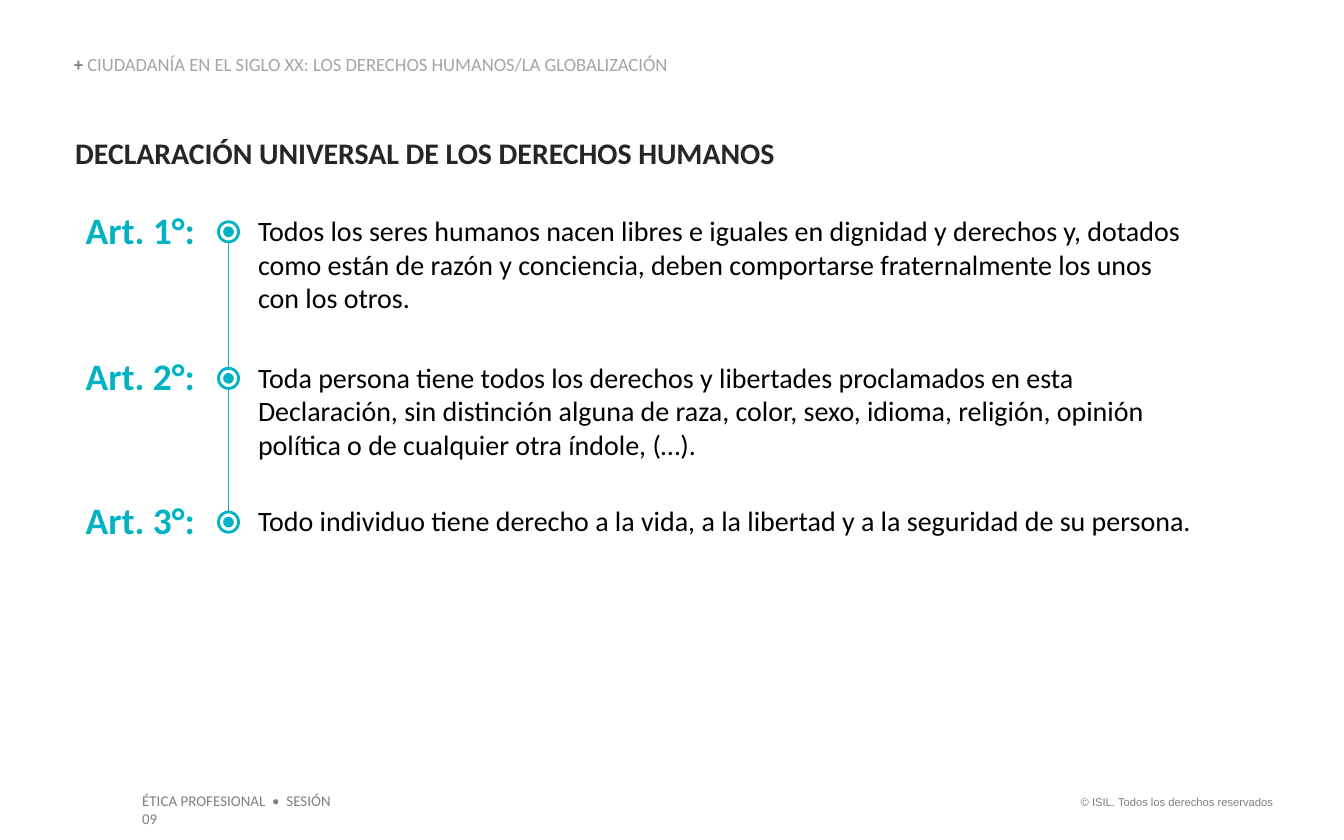
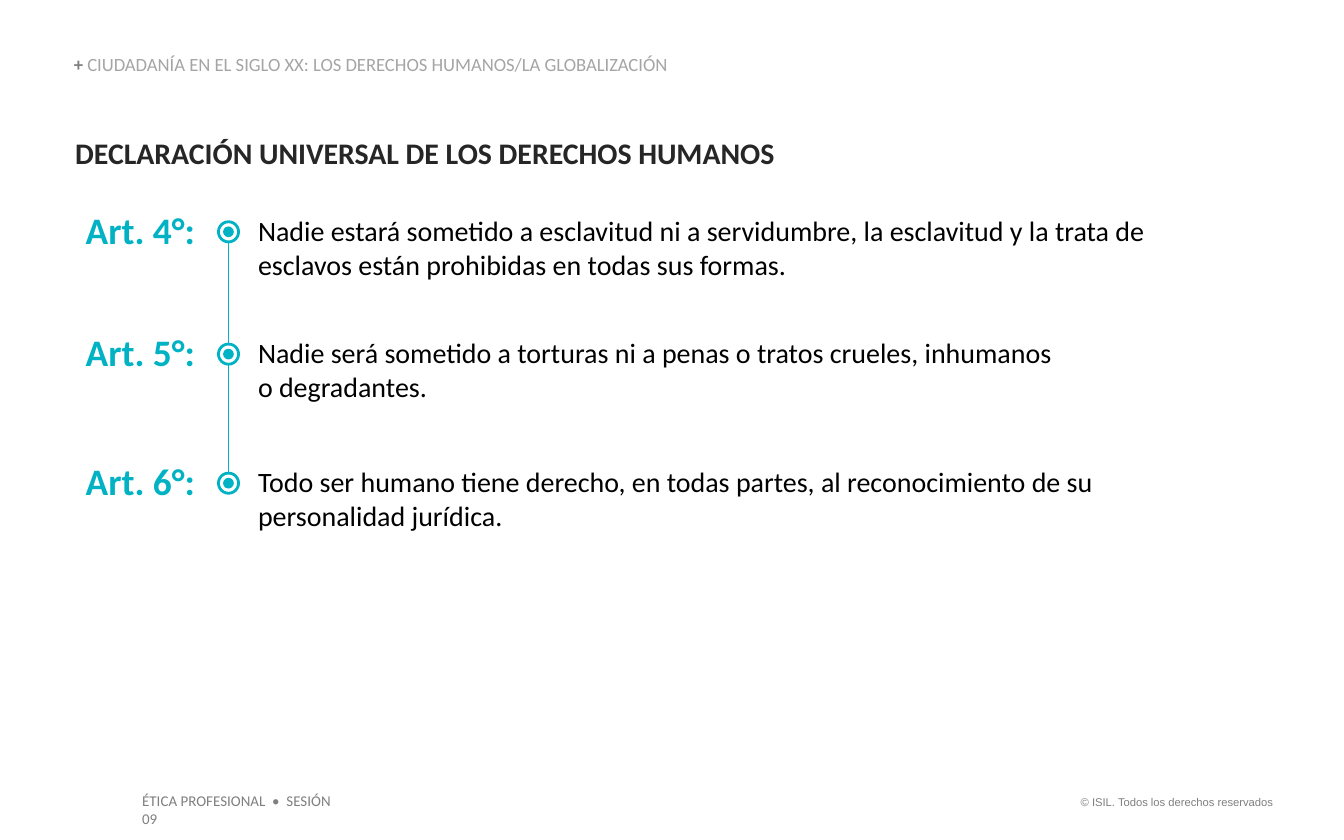
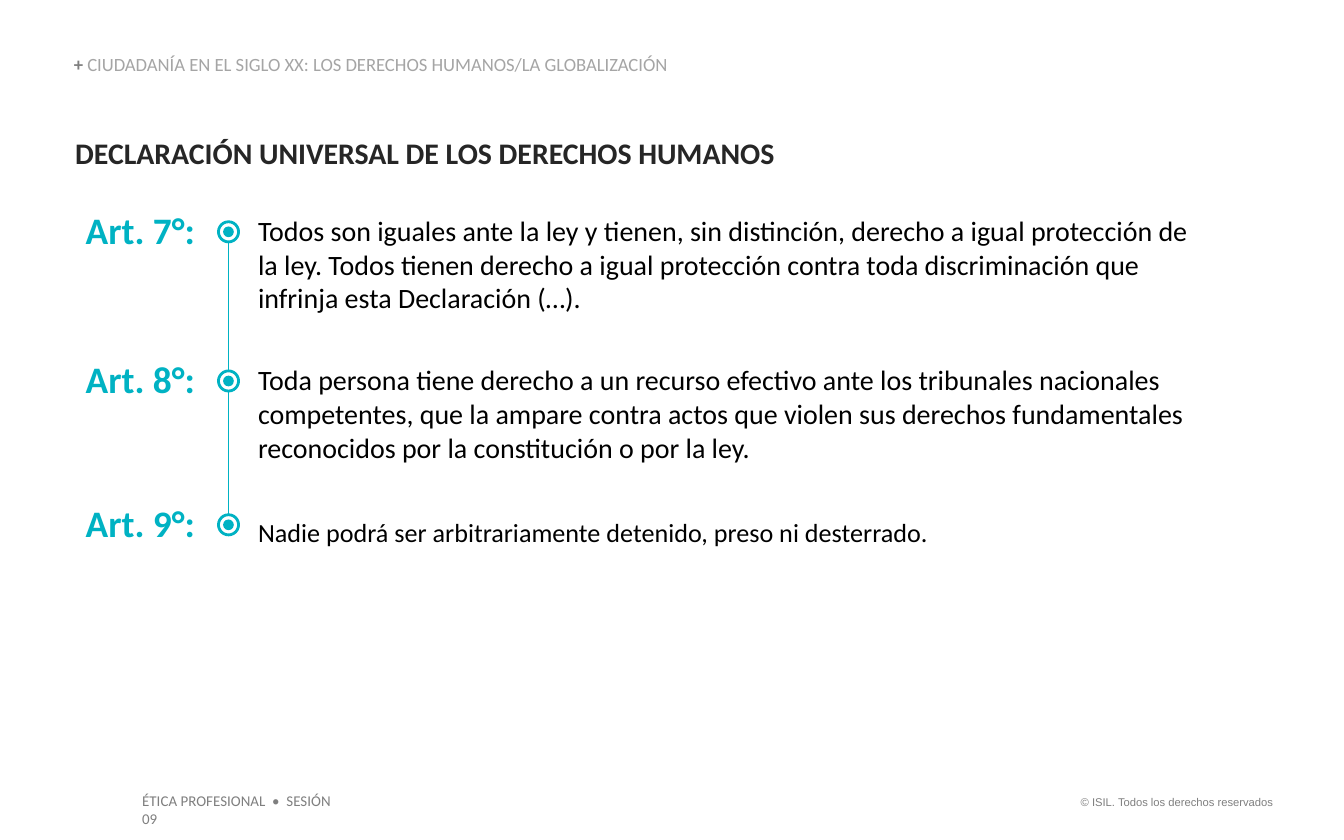
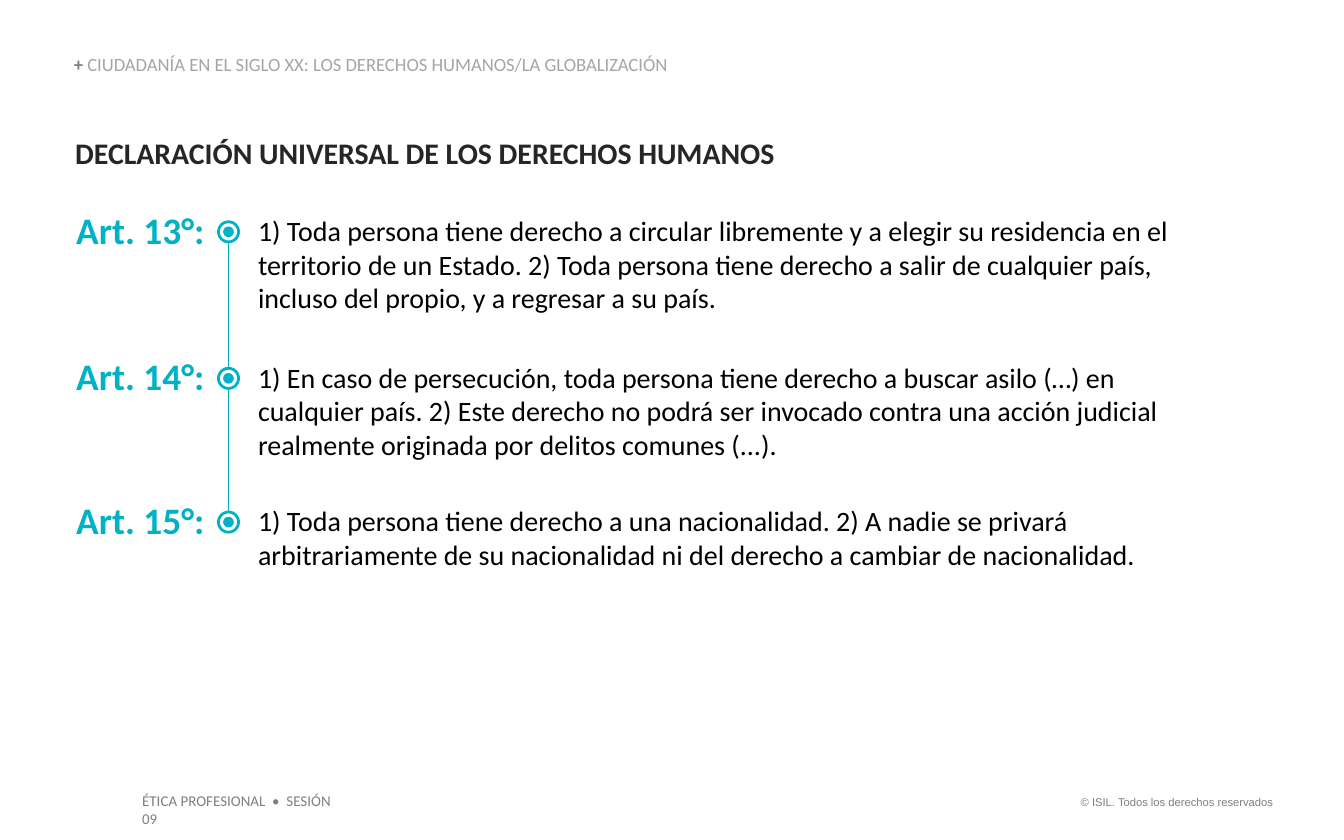
"""Build four slides on articles of the Universal Declaration of Human Rights."""
import lxml.etree
import pptx
import pptx.dml.color
import pptx.enum.shapes
import pptx.enum.text
import pptx.oxml.ns
import pptx.util

Inches = pptx.util.Inches
Pt = pptx.util.Pt
ALIGN = pptx.enum.text.PP_ALIGN
ANCHOR = pptx.enum.text.MSO_ANCHOR

TEAL, WHITE, BLACK = "00B2C3", "FFFFFF", "000000"
DARK, GRAY, LIGHT = "262626", "7F7F7F", "A5A5A5"


def rgb(value):
    """Turn a hex string into a colour."""
    return pptx.dml.color.RGBColor.from_string(value)


def add_text(s, box, runs, margins=(0, 0), anchor=ANCHOR.TOP, **para):
    """Add a wrapped text box of one paragraph; runs hold text, colour and font values."""
    sp = s.shapes.add_textbox(*map(Inches, box))
    tf = sp.text_frame
    side, edge = map(Inches, margins)
    frame = {"word_wrap": True, "vertical_anchor": anchor,
             "auto_size": pptx.enum.text.MSO_AUTO_SIZE.SHAPE_TO_FIT_TEXT,
             "margin_left": side, "margin_right": side,
             "margin_top": edge, "margin_bottom": edge}
    for name, value in frame.items():
        setattr(tf, name, value)
    p = tf.paragraphs[0]
    for name, value in para.items():
        setattr(p, name, value)
    for text, color, size, bold, font in runs:
        r = p.add_run()
        r.text = text
        for name, value in {"size": Pt(size), "bold": bold, "name": font}.items():
            setattr(r.font, name, value)
        r.font.color.rgb = rgb(color)


WIDE, LAST, SHORT = 6.93, 7, 6.04
SLIDES = [
    [(1, 1.65, WIDE, 0.76, "Todos los seres humanos nacen libres e iguales en dignidad y derechos y, dotados como están de razón y conciencia, deben comportarse fraternalmente los unos con los otros."),
     (2, 2.74, WIDE, 0.76, "Toda persona tiene todos los derechos y libertades proclamados en esta Declaración, sin distinción alguna de raza, color, sexo, idioma, religión, opinión política o de cualquier otra índole, (…)."),
     (3, 3.81, LAST, 0.25, "Todo individuo tiene derecho a la vida, a la libertad y a la seguridad de su persona.")],
    [(4, 1.65, WIDE, 0.5, "Nadie estará sometido a esclavitud ni a servidumbre, la esclavitud y la trata de esclavos están prohibidas en todas sus formas."),
     (5, 2.56, SHORT, 0.5, "Nadie será sometido a torturas ni a penas o tratos crueles, inhumanos o degradantes."),
     (6, 3.52, LAST, 0.5, "Todo ser humano tiene derecho, en todas partes, al reconocimiento de su personalidad jurídica.")],
    [(7, 1.65, WIDE, 0.76, "Todos son iguales ante la ley y tienen, sin distinción, derecho a igual protección de la ley. Todos tienen derecho a igual protección contra toda discriminación que infrinja esta Declaración (…)."),
     (8, 2.76, WIDE, 0.76, "Toda persona tiene derecho a un recurso efectivo ante los tribunales nacionales competentes, que la ampare contra actos que violen sus derechos fundamentales reconocidos por la constitución o por la ley."),
     (9, 3.83, LAST, 0.22, "Nadie podrá ser arbitrariamente detenido, preso ni desterrado.")],
    [(13, 1.65, WIDE, 0.76, "1) Toda persona tiene derecho a circular libremente y a elegir su residencia en el territorio de un Estado. 2) Toda persona tiene derecho a salir de cualquier país, incluso del propio, y a regresar a su país."),
     (14, 2.74, WIDE, 0.76, "1) En caso de persecución, toda persona tiene derecho a buscar asilo (…) en cualquier país. 2) Este derecho no podrá ser invocado contra una acción judicial realmente originada por delitos comunes (...)."),
     (15, 3.81, LAST, 0.5, "1) Toda persona tiene derecho a una nacionalidad. 2) A nadie se privará arbitrariamente de su nacionalidad ni del derecho a cambiar de nacionalidad.")],
]
BODY = {"size": 15, "drop": -0.06, "spacing": None}
SMALL_BODY = {"size": 14, "drop": -0.02, "spacing": 1.13}
RING, DOT, AXIS = 0.15, 0.08, 1.7

prs = pptx.Presentation()
prs.slide_width, prs.slide_height = Inches(10), Inches(6.25)

for articles in SLIDES:
    s = prs.slides.add_slide(prs.slide_layouts[6])
    s.background.fill.solid()
    s.background.fill.fore_color.rgb = rgb(WHITE)

    add_text(s, (7.88, 5.87, 1.69, 0.2),
             [("© ISIL. Todos los derechos reservados", GRAY, 6, False, "Arial")],
             margins=(0.1, 0.05), alignment=ALIGN.RIGHT)
    add_text(s, (0.96, 5.84, 1.74, 0.24),
             [("ÉTICA PROFESIONAL  •  SESIÓN 09", GRAY, 8, False, "Calibri")],
             margins=(0.1, 0.05))
    add_text(s, (0.55, 0.41, 5.23, 0.15),
             [("+ ", GRAY, 10, True, "Calibri"),
              ("CIUDADANÍA EN EL SIGLO XX: LOS DERECHOS HUMANOS/LA GLOBALIZACIÓN",
               LIGHT, 10, False, "Calibri")],
             anchor=ANCHOR.BOTTOM, line_spacing=0.9)
    add_text(s, (0.56, 1, 6.55, 0.27),
             [("DECLARACIÓN UNIVERSAL DE LOS DERECHOS HUMANOS", DARK, 16, True, "Calibri")])

    first, last = articles[0][1], articles[-1][1]
    line = s.shapes.add_connector(pptx.enum.shapes.MSO_CONNECTOR.STRAIGHT,
                                  Inches(AXIS), Inches(first + RING),
                                  Inches(AXIS), Inches(last))
    line.line.color.rgb = rgb(TEAL)
    line.line.width = Pt(1)
    lxml.etree.SubElement(line._element.spPr, pptx.oxml.ns.qn("a:effectLst"))

    for number, top, width, height, text in articles:
        body = SMALL_BODY if number == 9 else BODY
        add_text(s, (1.92, top + body["drop"], width, height),
                 [(text, BLACK, body["size"], False, "Calibri")],
                 line_spacing=body["spacing"])
        add_text(s, (0.55, top - 0.11, 0.99, 0.34),
                 [(f"Art. {number}°:", TEAL, 20, True, "Calibri")],
                 alignment=ALIGN.CENTER)
        marker = s.shapes.add_group_shape()
        for size, fill in ((RING, WHITE), (DOT, TEAL)):
            sp = marker.shapes.add_shape(pptx.enum.shapes.MSO_SHAPE.OVAL,
                                         Inches(AXIS - size / 2),
                                         Inches(top + (RING - size) / 2),
                                         Inches(size), Inches(size))
            sp.shadow.inherit = False
            sp.fill.solid()
            sp.fill.fore_color.rgb = rgb(fill)
            if size == RING:
                sp.line.color.rgb = rgb(TEAL)
                sp.line.width = Pt(1.5)
            else:
                sp.line.fill.background()

prs.save("out.pptx")
